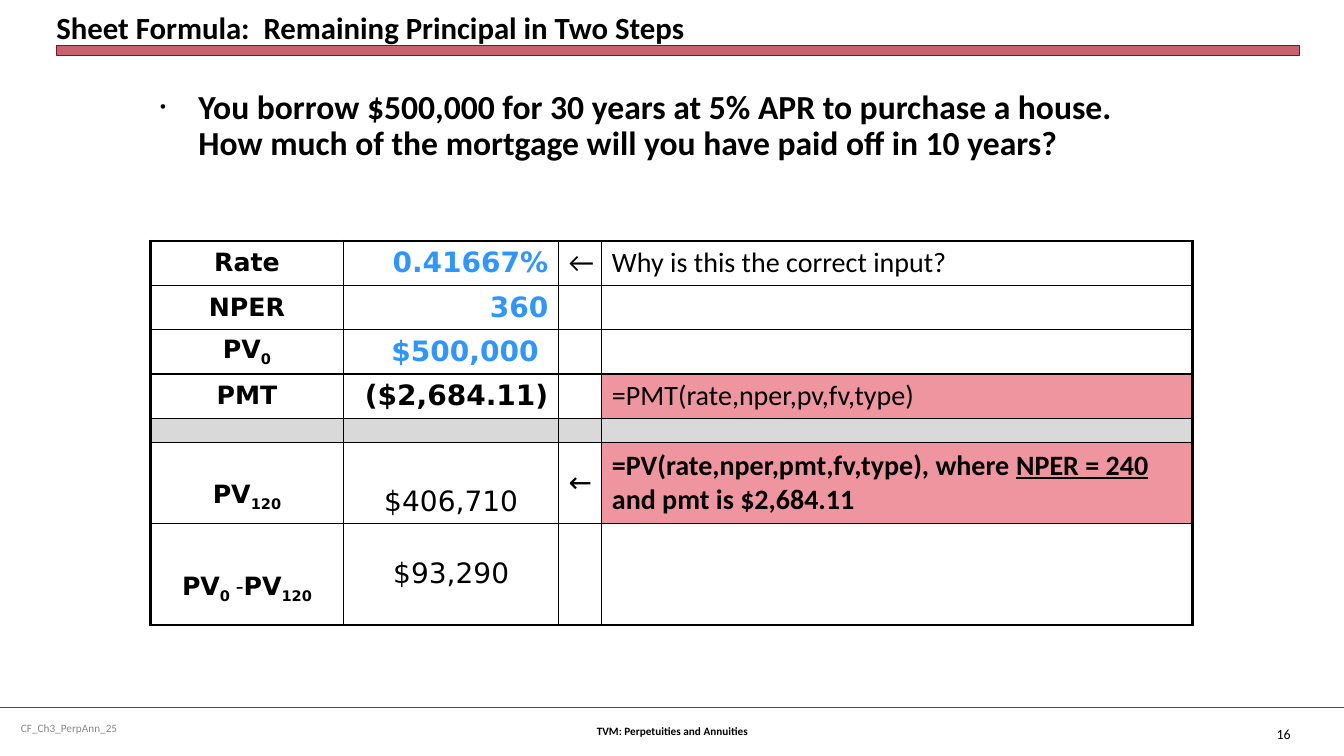
from dataclasses import dataclass, field
from lxml import etree
from pptx import Presentation
from pptx.dml.color import RGBColor
from pptx.enum import shapes, text
from pptx.oxml.ns import qn
from pptx.util import Inches, Pt

SANS, MONEY = "Calibri", "DejaVu Sans"
BLACK, WHITE, GREY, PINK, BLUE = "000000", "FFFFFF", "D9D9D9", "EE95A0", "3096FF"
RED, DARK_RED = "B01C2E", "821522"
LEFT, CENTER, RIGHT = text.PP_ALIGN.LEFT, text.PP_ALIGN.CENTER, text.PP_ALIGN.RIGHT
MIDDLE, BOTTOM = text.MSO_ANCHOR.MIDDLE, text.MSO_ANCHOR.BOTTOM


@dataclass
class Run:
    text: str
    size: float = 20
    font: str = SANS
    color: str = BLACK
    bold: bool = False
    underline: bool = False
    sub: bool = False


@dataclass
class Cell:
    runs: list = field(default_factory=list)
    align: int = LEFT
    fill: str = WHITE
    anchor: int = MIDDLE
    bottom: float = 0.05


@dataclass
class Label:
    box: tuple
    run: Run
    align: int = LEFT


def rgb(color: str) -> RGBColor:
    return RGBColor.from_string(color)


def write(p, runs: list, align: int = LEFT) -> None:
    p.alignment = align
    for run in runs:
        r = p.add_run()
        r.text = run.text
        values = {"size": Pt(run.size), "name": run.font,
                  "bold": run.bold, "underline": run.underline}
        for name, value in values.items():
            setattr(r.font, name, value)
        r.font.color.rgb = rgb(run.color)
        if run.sub:
            r.font._element.set("baseline", "-25000")


def place(sp, box: tuple) -> None:
    for name, value in zip(("left", "top", "width", "height"), box):
        setattr(sp, name, Inches(value))


def add_label(s, label: Label) -> None:
    tf = s.shapes.add_textbox(*map(Inches, label.box)).text_frame
    tf.word_wrap = True
    tf.vertical_anchor = MIDDLE
    write(tf.paragraphs[0], [label.run], label.align)


def add_border(cell, side: str, width: float) -> None:
    ln = etree.SubElement(cell._tc.get_or_add_tcPr(), qn(f"a:ln{side}"), w=str(Pt(width)))
    fill = etree.SubElement(ln, qn("a:solidFill"))
    etree.SubElement(fill, qn("a:srgbClr"), val=BLACK)


def name(*parts: str) -> list:
    """Bold row name; digits become subscripts and the minus stays plain."""
    return [Run(part, 18, SANS if part == " -" else MONEY, bold=part != " -",
                sub=part.isdigit()) for part in parts]


def amount(value: str, color: str = BLACK, bold: bool = True) -> list:
    return [Run(value, font=MONEY, color=color, bold=bold)]


def loan_row(names: list, value: list, arrow: Cell, note: Cell) -> list:
    return [Cell(names, CENTER), Cell(value, RIGHT), arrow, note]


ROWS = [
    loan_row(name("Rate"), amount("0.41667%", BLUE), Cell([Run("←")]),
             Cell([Run("Why is this the correct input?")])),
    loan_row(name("NPER"), amount("360", BLUE), Cell(), Cell()),
    loan_row(name("PV", "0"), amount(" $500,000 ", BLUE), Cell(), Cell()),
    loan_row(name("PMT"), amount("($2,684.11)"), Cell(),
             Cell([Run("=PMT(rate,nper,pv,fv,type)")], fill=PINK)),
    [Cell(fill=GREY)] * 4,
    [Cell(name("PV", "120"), CENTER, anchor=BOTTOM, bottom=0.1),
     Cell(amount("$406,710", bold=False), CENTER, anchor=BOTTOM),
     Cell(amount("←", bold=False), CENTER),
     Cell([Run("=PV(rate,nper,pmt,fv,type), where ", bold=True),
           Run("NPER = 240 ", bold=True, underline=True),
           Run("and pmt is $2,684.11", bold=True)], fill=PINK)],
    [Cell(name("PV", "0", " -", "PV", "120"), CENTER, anchor=BOTTOM, bottom=0.2),
     Cell(amount("$93,290", bold=False), CENTER), Cell(), Cell()],
]
COLUMN_WIDTHS = [1.92, 2.13, 0.43, 5.86]
ROW_HEIGHTS = [0.44, 0.44, 0.44, 0.44, 0.24, 0.8, 1.01]
LABELS = [
    Label((0.11, 7.02, 3.44, 0.4), Run("CF_Ch3_PerpAnn_25", 8, color="898989")),
    Label((12.23, 7.08, 0.67, 0.4), Run("16", 10), RIGHT),
    Label((4.56, 7.05, 4.22, 0.4), Run("TVM: Perpetuities and Annuities", 8, bold=True), CENTER),
]


def add_frame(s) -> None:
    # Footer rule
    rule = s.shapes.add_connector(shapes.MSO_CONNECTOR.STRAIGHT, 0, Inches(7.02),
                                  Inches(13.33), Inches(7.02))
    rule.line.color.rgb = rgb(RED)
    rule.line.width = Pt(1.25)
    etree.SubElement(rule._element.spPr, qn("a:effectLst"))

    # Bar under the title
    bar = s.shapes.add_shape(shapes.MSO_SHAPE.RECTANGLE,
                             *map(Inches, (0.56, 0.45, 12.33, 0.1)))
    bar.shadow.inherit = False
    bar.fill.solid()
    bar.fill.fore_color.rgb = rgb(RED)
    tint = bar._element.spPr.find(qn("a:solidFill")).find(qn("a:srgbClr"))
    etree.SubElement(tint, qn("a:alpha"), val="69000")
    bar.line.color.rgb = rgb(DARK_RED)
    bar.line.width = Pt(0)

    # Title and footer
    title = s.shapes.title
    place(title, (0.56, 0.05, 12.33, 0.4))
    tf = title.text_frame
    for side in ("left", "top", "right", "bottom"):
        setattr(tf, f"margin_{side}", 0)
    tf.vertical_anchor = BOTTOM
    write(tf.paragraphs[0],
          [Run("Sheet Formula:  Remaining Principal in Two Steps", 22, bold=True)])
    for label in LABELS:
        add_label(s, label)


def add_question(s) -> None:
    tf = s.shapes.add_textbox(*map(Inches, (1.49, 0.85, 10.02, 1.13))).text_frame
    tf.word_wrap = True
    p = tf.paragraphs[0]
    p.line_spacing = 0.9
    pPr = p._p.get_or_add_pPr()
    pPr.set("marL", str(Inches(0.38)))
    pPr.set("indent", str(Inches(-0.38)))
    etree.SubElement(pPr, qn("a:buSzPct"), val="50000")
    etree.SubElement(pPr, qn("a:buFont"), typeface="Arial")
    etree.SubElement(pPr, qn("a:buChar"), char="•")
    write(p, [Run("You borrow $500,000 for 30 years at 5% APR to purchase a house.  "
                  "How much of the mortgage will you have paid off in 10 years?",
                  24, bold=True)])


def add_loan_table(s) -> None:
    size = (sum(COLUMN_WIDTHS), sum(ROW_HEIGHTS))
    last_row, last_col = len(ROWS) - 1, len(COLUMN_WIDTHS) - 1
    table = s.shapes.add_table(len(ROWS), len(COLUMN_WIDTHS),
                               *map(Inches, (1.49, 2.39) + size)).table
    table.first_row = table.horz_banding = False
    for column, width in zip(table.columns, COLUMN_WIDTHS):
        column.width = Inches(width)
    for i, (row, height) in enumerate(zip(ROWS, ROW_HEIGHTS)):
        table.rows[i].height = Inches(height)
        for j, item in enumerate(row):
            cell = table.cell(i, j)
            cell.vertical_anchor = item.anchor
            cell.margin_bottom = Inches(item.bottom)
            outer = {"L": j == 0, "R": j == last_col, "T": i == 0, "B": i == last_row}
            for side, thick in outer.items():
                add_border(cell, side, 2.25 if thick else 1)
            cell.fill.solid()
            cell.fill.fore_color.rgb = rgb(item.fill)
            p = cell.text_frame.paragraphs[0]
            write(p, item.runs, item.align)
            if not item.runs:
                etree.SubElement(p._p, qn("a:endParaRPr"), sz="800")


def main() -> None:
    prs = Presentation()
    prs.slide_width, prs.slide_height = Inches(13.33), Inches(7.5)
    s = prs.slides.add_slide(prs.slide_layouts[5])
    add_frame(s)
    add_loan_table(s)
    add_question(s)
    prs.save("out.pptx")


if __name__ == "__main__":
    main()
